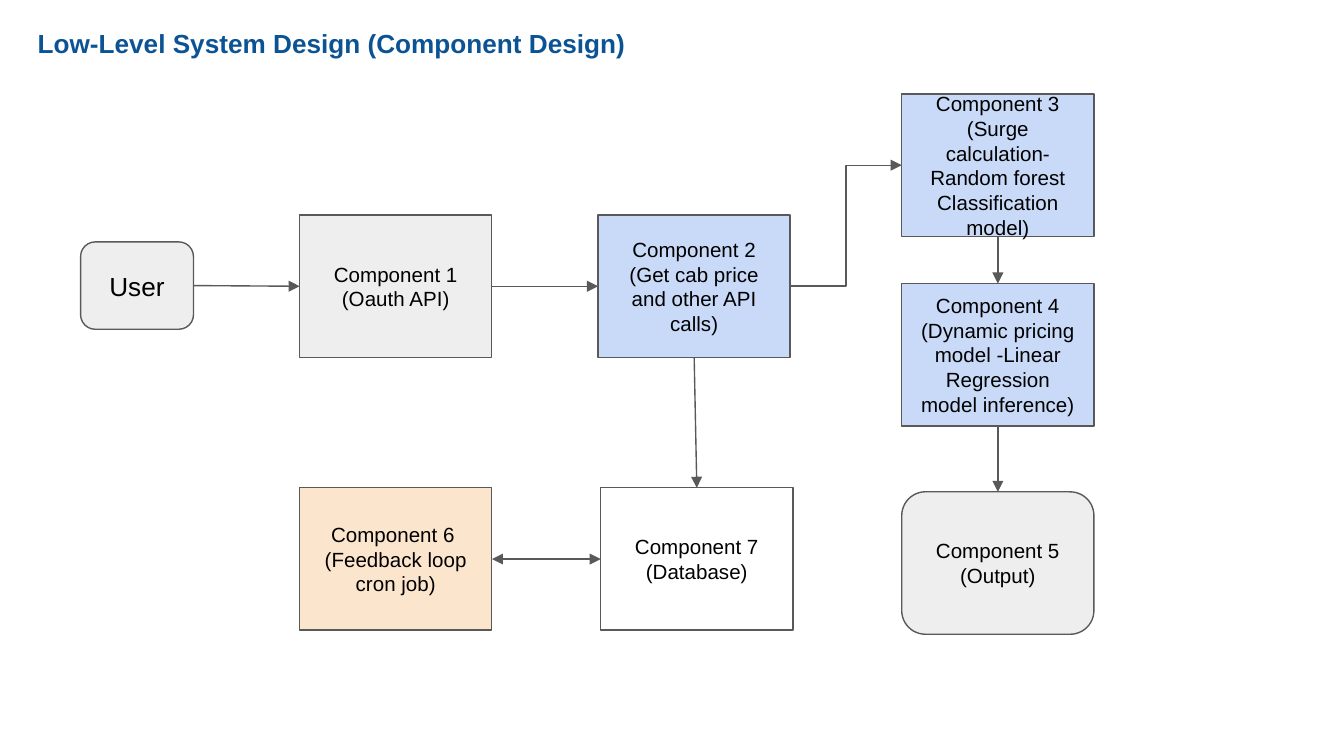
from lxml import etree
from pptx import Presentation
from pptx import util as u
from pptx.dml.color import RGBColor
from pptx.enum import shapes, text
from pptx.oxml.ns import qn

COLORS = {
    "title": "0B5394",
    "text": "000000",
    "line": "595959",
    "grey": "EEEEEE",
    "blue": "C9DAF8",
    "orange": "FCE5CD",
    "white": "FFFFFF",
}
TOP, LEFT, BOTTOM, RIGHT = range(4)
BOX_SIZE = (1.43, 1.06)


def rgb(name):
    return RGBColor.from_string(COLORS[name])


def write(frame, content, size=11, color="text", bold=False,
          align=text.PP_ALIGN.CENTER, anchor=text.MSO_ANCHOR.MIDDLE,
          line_spacing=None, space_after=0):
    frame.word_wrap = True
    frame.auto_size = text.MSO_AUTO_SIZE.NONE
    frame.vertical_anchor = anchor
    frame.margin_left = frame.margin_right = u.Inches(0.1)
    frame.margin_top = frame.margin_bottom = u.Inches(0.1)
    frame.text = content
    for paragraph in frame.paragraphs:
        paragraph.alignment = align
        paragraph.line_spacing = line_spacing
        paragraph.space_before = u.Pt(0)
        paragraph.space_after = u.Pt(space_after)
        for run in paragraph.runs:
            run.font.name = "Arial"
            run.font.size = u.Pt(size)
            run.font.bold = bold
            run.font.color.rgb = rgb(color)


class Diagram:
    def __init__(self, slide, line_color="line", line_width=0.75):
        self.slide = slide
        self.line_color = line_color
        self.line_width = line_width

    def outline(self, line):
        line.color.rgb = rgb(self.line_color)
        line.width = u.Pt(self.line_width)

    def title(self, content, left, top, width, height):
        heading = self.slide.shapes.title
        heading.left, heading.top = u.Inches(left), u.Inches(top)
        heading.width, heading.height = u.Inches(width), u.Inches(height)
        write(heading.text_frame, content, size=14, color="title", bold=True,
              align=text.PP_ALIGN.LEFT, anchor=text.MSO_ANCHOR.TOP,
              line_spacing=1.15, space_after=10)

    def box(self, content, left, top, fill, size=BOX_SIZE, rounded=False, font_size=11):
        kind = shapes.MSO_SHAPE.ROUNDED_RECTANGLE if rounded else shapes.MSO_SHAPE.RECTANGLE
        node = self.slide.shapes.add_shape(
            kind, u.Inches(left), u.Inches(top), u.Inches(size[0]), u.Inches(size[1]))
        node.shadow.inherit = False
        node.fill.solid()
        node.fill.fore_color.rgb = rgb(fill)
        self.outline(node.line)
        write(node.text_frame, content, size=font_size)
        return node

    def arrow(self, source, source_side, target, target_side, elbow=False, both_ends=False):
        kind = shapes.MSO_CONNECTOR.ELBOW if elbow else shapes.MSO_CONNECTOR.STRAIGHT
        link = self.slide.shapes.add_connector(kind, 0, 0, 0, 0)
        link.begin_connect(source, source_side)
        link.end_connect(target, target_side)
        self.outline(link.line)
        line = link.line._get_or_add_ln()
        for end in ("a:headEnd", "a:tailEnd") if both_ends else ("a:tailEnd",):
            etree.SubElement(line, qn(end), type="triangle")
        etree.SubElement(link._element.spPr, qn("a:effectLst"))


def main():
    deck = Presentation()
    deck.slide_width = u.Inches(10)
    deck.slide_height = deck.slide_width * 9 // 16
    diagram = Diagram(deck.slides.add_slide(deck.slide_layouts[5]))
    diagram.title("Low-Level System Design (Component Design)", 0.18, 0.07, 8.77, 0.44)

    user = diagram.box("User", 0.6, 1.8, "grey", size=(0.84, 0.65),
                       rounded=True, font_size=14)
    oauth = diagram.box("Component 1 (Oauth API)", 2.23, 1.6, "grey")
    cab_price = diagram.box("Component 2 (Get cab price and other API calls)",
                            4.45, 1.6, "blue")
    surge = diagram.box(
        "Component 3\n(Surge calculation- Random forest Classification model)",
        6.71, 0.7, "blue")
    pricing = diagram.box(
        "Component 4\n(Dynamic pricing model -Linear Regression model inference)",
        6.71, 2.11, "blue")
    output = diagram.box("Component 5 (Output)", 6.71, 3.66, "grey", rounded=True)
    database = diagram.box("Component 7 (Database)", 4.47, 3.63, "white")
    feedback = diagram.box("Component 6 \n(Feedback loop cron job)", 2.23, 3.63, "orange")

    diagram.arrow(user, RIGHT, oauth, LEFT)
    diagram.arrow(oauth, RIGHT, cab_price, LEFT)
    diagram.arrow(cab_price, RIGHT, surge, LEFT, elbow=True)
    diagram.arrow(surge, BOTTOM, pricing, TOP)
    diagram.arrow(pricing, BOTTOM, output, TOP)
    diagram.arrow(cab_price, BOTTOM, database, TOP)
    diagram.arrow(feedback, RIGHT, database, LEFT, both_ends=True)

    deck.save("out.pptx")


if __name__ == "__main__":
    main()
